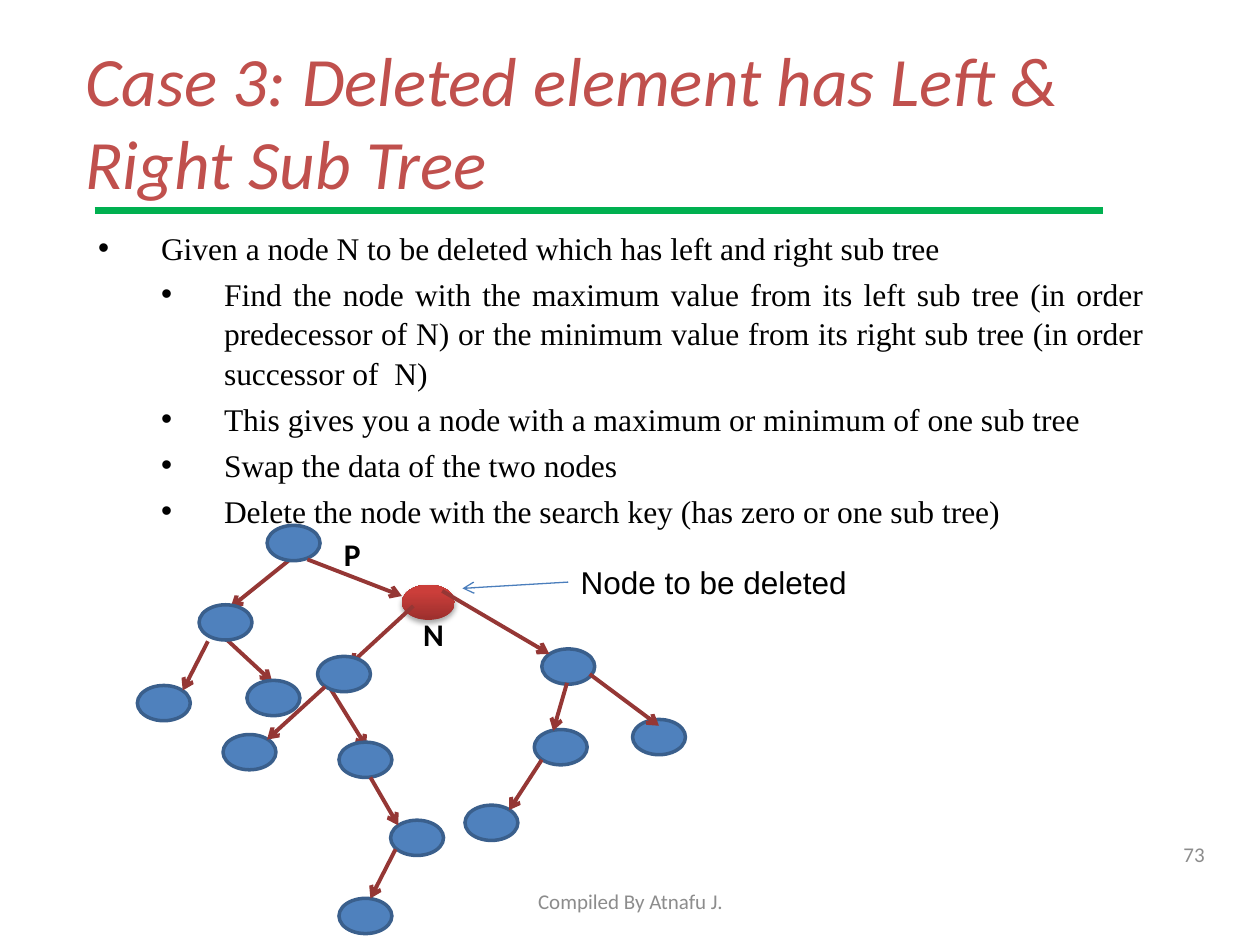
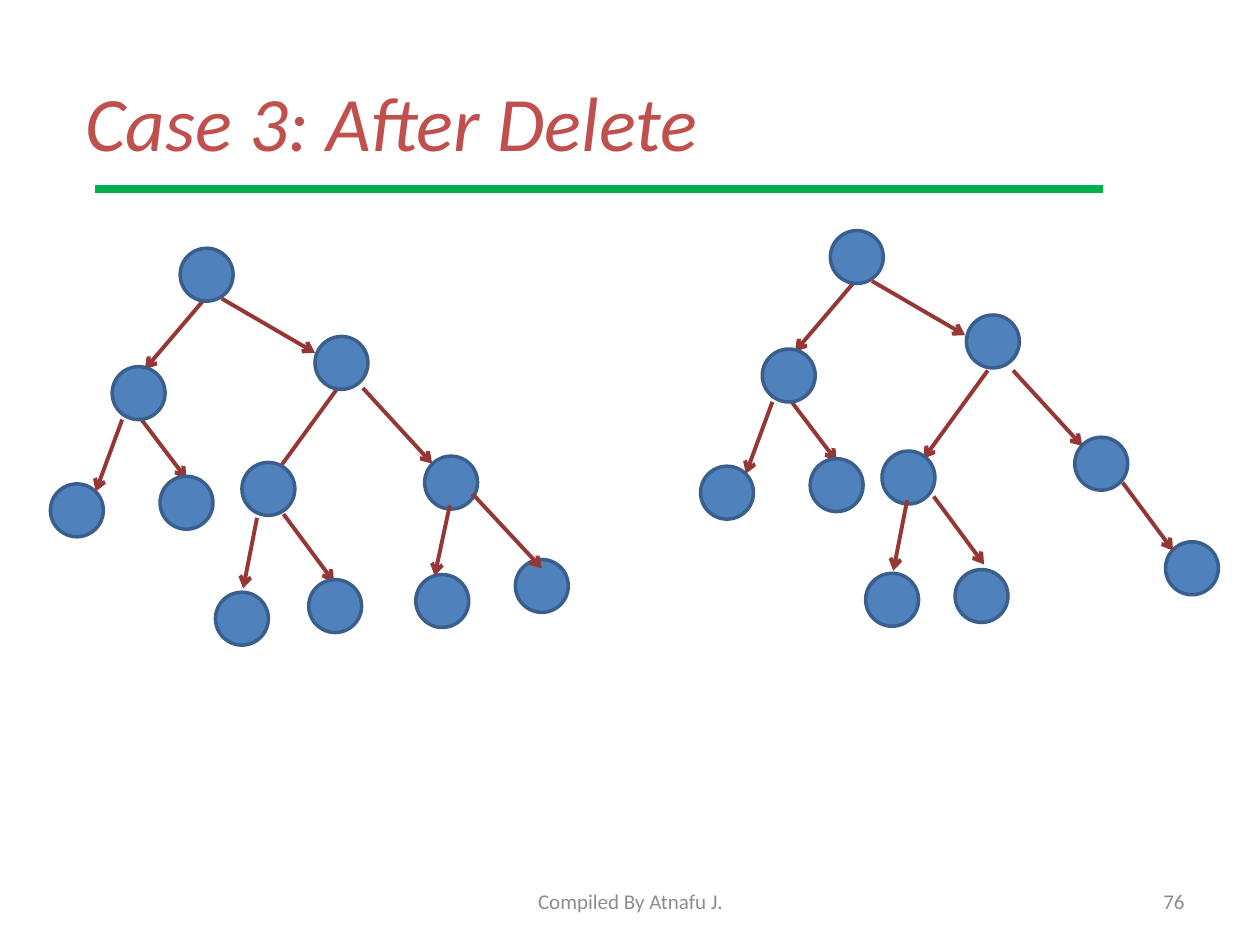
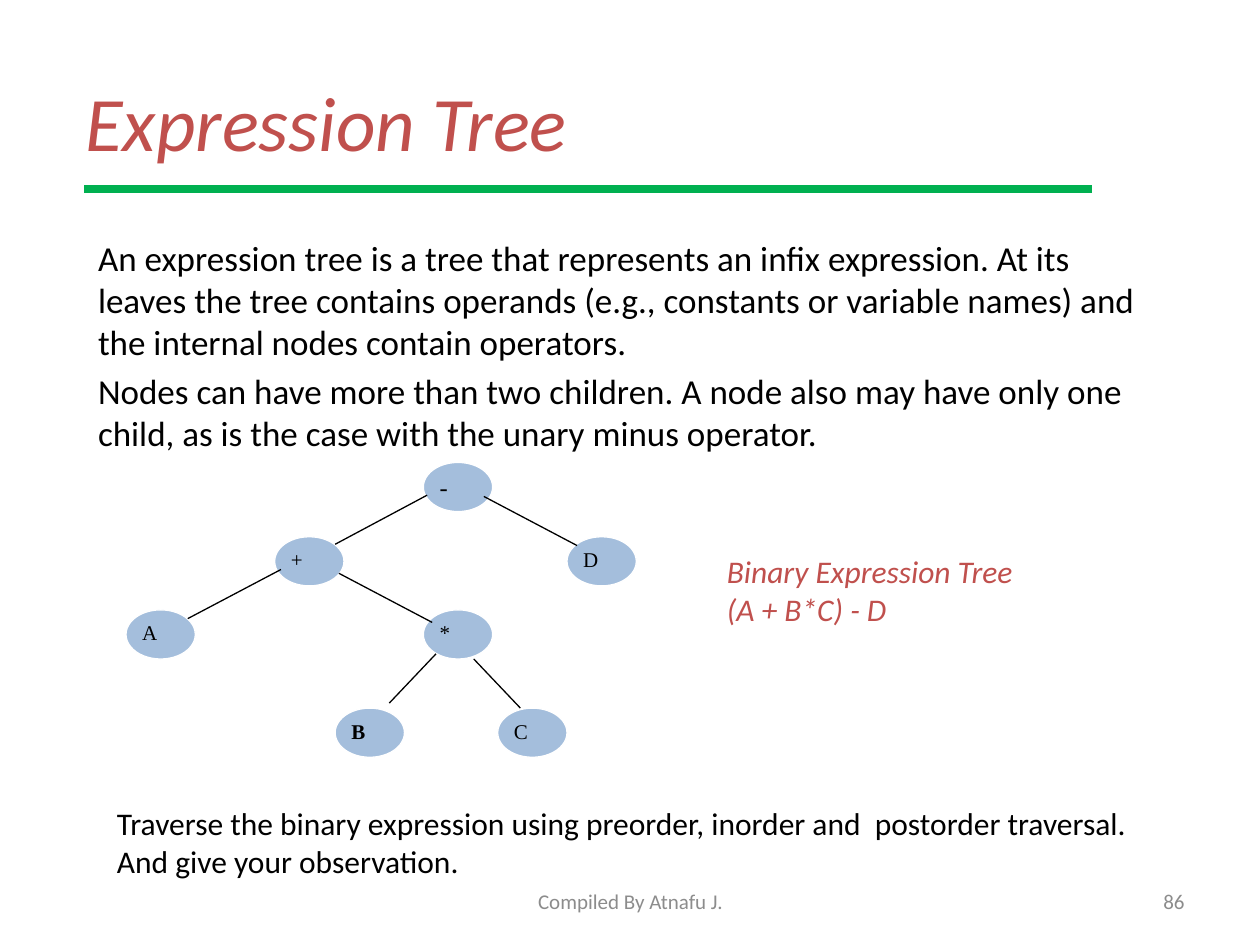
from lxml import etree
from pptx import Presentation
from pptx.dml.color import RGBColor as RGB
from pptx.enum.shapes import MSO_CONNECTOR as CON, MSO_SHAPE as SHAPE
from pptx.enum.text import MSO_ANCHOR as ANCHOR, PP_ALIGN as ALIGN
from pptx.oxml.ns import qn
from pptx.util import Inches, Pt

BLACK = RGB(0x00, 0x00, 0x00)
WHITE = RGB(0xFF, 0xFF, 0xFF)
RED = RGB(0xC0, 0x50, 0x4D)
GREEN = RGB(0x00, 0xB0, 0x50)
GRAY = RGB(0x8C, 0x8C, 0x8C)
BLUE = RGB(0x4F, 0x81, 0xBD)
RIM = RGB(0x3A, 0x5F, 0x8C)
EDGE = RGB(0x95, 0x37, 0x35)
POINTER = RGB(0x4B, 0x7E, 0xBC)
PALE = RGB(0x95, 0xB3, 0xD7)
DARK_RED = RGB(0x9C, 0x2F, 0x2D)
LIGHT_RED = RGB(0xCB, 0x3E, 0x3A)

SANS, SERIF = "Calibri", "Times New Roman"

STEPS = [
    "Find the node with the maximum value from its left sub tree (in order "
    "predecessor of N) or the minimum value from its right sub tree (in order "
    "successor of  N)",
    "This gives you a node with a maximum or minimum of one sub tree",
    "Swap the data of the two nodes",
    "Delete the node with the search key (has zero or one sub tree)",
]
ABOUT = [
    "An expression tree is a tree that represents an infix expression. At its "
    "leaves the tree contains operands (e.g., constants or variable names) and "
    "the internal nodes contain operators.",
    "Nodes can have more than two children. A node also may have only one "
    "child, as is the case with the unary minus operator.",
]

# Nodes are (left, top) and edges (x1, y1, x2, y2), in inches from the tree's corner.
# Edges in an UNDER list run behind the nodes, those in an OVER list in front.
CASE_NODES = [
    (1.03, 0), (0.49, 0.63), (0, 1.27), (0.87, 1.23), (1.43, 1.04),
    (0.68, 1.66), (1.6, 1.72), (2.01, 2.34), (1.6, 2.96), (3.21, 0.98),
    (3.93, 1.54), (3.15, 1.62), (2.6, 2.22),
]
CASE_UNDER = [
    (1.2, 0.28, 0.74, 0.65), (2.19, 0.64, 1.68, 1.11),
    (0.67, 0.87, 1.07, 1.24), (1.51, 1.26, 1.82, 1.76),
]
CASE_OVER = [
    (1.35, 0.27, 2.1, 0.56), (0.56, 0.92, 0.36, 1.31), (3.41, 1.25, 3.3, 1.63),
    (2.42, 0.52, 3.27, 1.02), (3.59, 1.18, 4.14, 1.59), (2.05, 2.57, 1.85, 2.96),
    (1.85, 2, 2.07, 2.38), (1.49, 1.28, 1.03, 1.7), (3.21, 1.86, 2.95, 2.26),
]

# Parts that both trees have after the deletion
BOTH_NODES = [(1.03, 0), (0.49, 0.94), (0, 1.87), (0.87, 1.81)]
BOTH_UNDER = [
    (1.21, 0.42, 0.75, 0.96), (0.67, 1.29, 1.08, 1.83),
    (2.28, 1.11, 1.77, 1.81), (1.85, 2.11, 2.25, 2.65),
]
BOTH_OVER = [
    (1.36, 0.4, 2.1, 0.83), (0.57, 1.36, 0.36, 1.93),
    (1.64, 2.14, 1.53, 2.7), (2.48, 1.11, 3.03, 1.71),
]
LEFT_NODES = [(2.1, 0.7), (2.97, 1.65), (1.52, 1.7), (1.31, 2.73),
              (2.05, 2.63), (2.9, 2.59), (3.69, 2.47)]
LEFT_OVER = [(3.17, 2.04, 3.05, 2.6), (3.35, 1.95, 3.9, 2.54)]
RIGHT_NODES = [(2.11, 0.67), (2.97, 1.64), (1.44, 1.75), (1.31, 2.72),
               (2.02, 2.69), (3.69, 2.47)]
RIGHT_OVER = [(3.35, 2, 3.75, 2.54)]

TERMS = [("C", 2.95, 1.95), ("B", 1.66, 1.95), ("*", 2.36, 1.17), ("+", 1.18, 0.59),
         ("A", 0, 1.17), ("-", 2.36, 0), ("D", 3.5, 0.59)]
TERM_EDGES = [
    (2.39, 0.26, 1.66, 0.65), (2.46, 1.52, 2.09, 1.91), (2.76, 1.56, 3.13, 1.95),
    (1.23, 0.85, 0.49, 1.24), (2.84, 0.27, 3.58, 0.66), (1.69, 0.88, 2.43, 1.27),
]


def write(slide, box, lines, size, color=BLACK, font=SANS, bold=False, italic=False,
          align=ALIGN.LEFT, anchor=ANCHOR.TOP, gap=0, indents=None, pitch=None):
    """Add a text box; indents, one per line, make the lines bulleted."""
    frame = slide.shapes.add_textbox(*map(Inches, box)).text_frame
    frame.word_wrap = True
    frame.vertical_anchor = anchor
    for i, line in enumerate(lines):
        para = frame.paragraphs[0] if i == 0 else frame.add_paragraph()
        para.text = line
        para.alignment = align
        if pitch:
            para.line_spacing = pitch
        if i and gap:
            para.space_before = Pt(gap)
        if indents:
            bullet(para, indents[i])
        face = para.font
        face.name, face.size, face.color.rgb = font, Pt(size), color
        face.bold, face.italic = bold, italic


def bullet(para, left):
    props = para._p.get_or_add_pPr()
    props.set("marL", str(Inches(left)))
    props.set("indent", str(Inches(-0.5)))
    etree.SubElement(props, qn("a:buFont"), typeface="Arial")
    etree.SubElement(props, qn("a:buChar"), char="•")


def link(slide, ends, color, width, arrow=False):
    line = slide.shapes.add_connector(CON.STRAIGHT, *map(Inches, ends))
    line.line.color.rgb = color
    line.line.width = Pt(width)
    if arrow:
        etree.SubElement(line.line._get_or_add_ln(), qn("a:tailEnd"), type="arrow")
    etree.SubElement(line._element.spPr, qn("a:effectLst"))


def shift(corner, ends):
    x, y = corner
    return [end + (y if i % 2 else x) for i, end in enumerate(ends)]


def oval(slide, spot, size, fill=None, rim=None, width=2):
    shape = slide.shapes.add_shape(SHAPE.OVAL, *map(Inches, (*spot, *size)))
    shape.shadow.inherit = False
    if fill is not None:
        shape.fill.solid()
        shape.fill.fore_color.rgb = fill
    if rim is None:
        shape.line.fill.background()
    else:
        shape.line.color.rgb = rim
        shape.line.width = Pt(width)
    return shape


def tree(slide, corner, size, nodes, under, over):
    def join(edges):
        for edge in edges:
            link(slide, shift(corner, edge), EDGE, 2.25, arrow=True)

    join(under)
    for node in nodes:
        oval(slide, shift(corner, node), size, BLUE, RIM)
    join(over)


def doomed(slide, spot, size):
    """Draw the shaded red node that is to be deleted."""
    shape = oval(slide, spot, size)
    shape.fill.gradient()
    shape.fill.gradient_angle = 90
    for stop, place, color in zip(shape.fill.gradient_stops, (0, 0.8),
                                  (DARK_RED, LIGHT_RED)):
        stop.position, stop.color.rgb = place, color
    effects = shape._element.spPr.find(qn("a:effectLst"))
    shade = etree.SubElement(effects, qn("a:outerShdw"), blurRad=str(Pt(3.1)),
                             dist=str(Pt(1.8)), dir="5400000", rotWithShape="0")
    tint = etree.SubElement(shade, qn("a:srgbClr"), val="000000")
    etree.SubElement(tint, qn("a:alpha"), val="35000")


def terms(slide, corner):
    """Draw the expression tree with a label in each node."""
    for sign, *place in TERMS:
        x, y = shift(corner, place)
        node = oval(slide, (x, y), (0.55, 0.39), PALE, WHITE, 0.75)
        tint = node._element.spPr.find(qn("a:solidFill")).find(qn("a:srgbClr"))
        etree.SubElement(tint, qn("a:alpha"), val="85000")
        write(slide, (x + 0.03, y + 0.03, 0.55, 0.26), [sign],
              14 if sign == "-" else 12, font=SERIF, bold=sign == "B")
    for edge in TERM_EDGES:
        link(slide, shift(corner, edge), BLACK, 0.75)


def start(deck, title, page, size=44, rule=(0.75, 1.5), spot=(7.17, 6.95)):
    """Add a slide with its title, green rule, footer and page number."""
    slide = deck.slides.add_slide(deck.slide_layouts[6])
    write(slide, (0.58, 0.33, 9, 1.25), [title], size, RED, italic=True,
          anchor=ANCHOR.MIDDLE)
    x, y = rule
    link(slide, (x, y, x + 8, y), GREEN, 4.25)
    write(slide, (3.42, 6.95, 3.17, 0.4), ["Compiled By Atnafu J."], 12, GRAY,
          align=ALIGN.CENTER, anchor=ANCHOR.MIDDLE)
    write(slide, (*spot, 2.33, 0.4), [str(page)], 12, GRAY,
          align=ALIGN.RIGHT, anchor=ANCHOR.MIDDLE)
    return slide


def case(deck):
    slide = start(deck, "Case 3: Deleted element has Left & Right Sub Tree", 73,
                  39.6, (0.75, 1.67), (7.33, 6.58))
    lead = "Given a node N to be deleted which has left and right sub tree"
    write(slide, (0.68, 1.75, 8.5, 5.25), [lead, *STEPS], 18, font=SERIF,
          align=ALIGN.JUSTIFY, gap=3.6, indents=[0.5] + [1] * len(STEPS), pitch=1.05)
    corner, size = (1.09, 4.17), (0.42, 0.28)
    doomed(slide, shift(corner, (2.1, 0.47)), size)
    tree(slide, corner, size, CASE_NODES, CASE_UNDER, CASE_OVER)
    for name, spot in (("N", (2.17, 0.66)), ("P", (1.54, 0.03))):
        write(slide, (*shift(corner, spot), 0.38, 0.28), [name], 18, bold=True)
    write(slide, (*shift(corner, (3.42, 0.25)), 2.33, 0.4), ["Node to be deleted"],
          18, font="Arial")
    link(slide, shift(corner, (3.42, 0.45, 2.58, 0.5)), POINTER, 0.75, arrow=True)


def after(deck):
    slide = start(deck, "Case 3: After Delete", 76)
    for corner, nodes, over in (((0.4, 1.97), LEFT_NODES, LEFT_OVER),
                                ((5.56, 1.83), RIGHT_NODES, RIGHT_OVER)):
        tree(slide, corner, (0.42, 0.42), BOTH_NODES + nodes, BOTH_UNDER,
             BOTH_OVER + over)


def formula(deck):
    slide = start(deck, "Expression Tree", 86, rule=(0.67, 1.5))
    write(slide, (0.68, 1.83, 8.5, 5.17), ABOUT, 20, gap=4)
    terms(slide, (1, 3.67))
    write(slide, (5.67, 4.33, 2.83, 0.71),
          ["Binary Expression Tree", "(A + B*C) - D"], 18, RED, italic=True)
    write(slide, (0.83, 6.33, 8.31, 0.71),
          ["Traverse the binary expression using preorder, inorder and  postorder "
           "traversal.", "And give your observation."], 18)


def main():
    deck = Presentation()
    deck.slide_width, deck.slide_height = Inches(10), Inches(7.5)
    case(deck)
    after(deck)
    formula(deck)
    deck.save("out.pptx")


if __name__ == "__main__":
    main()
